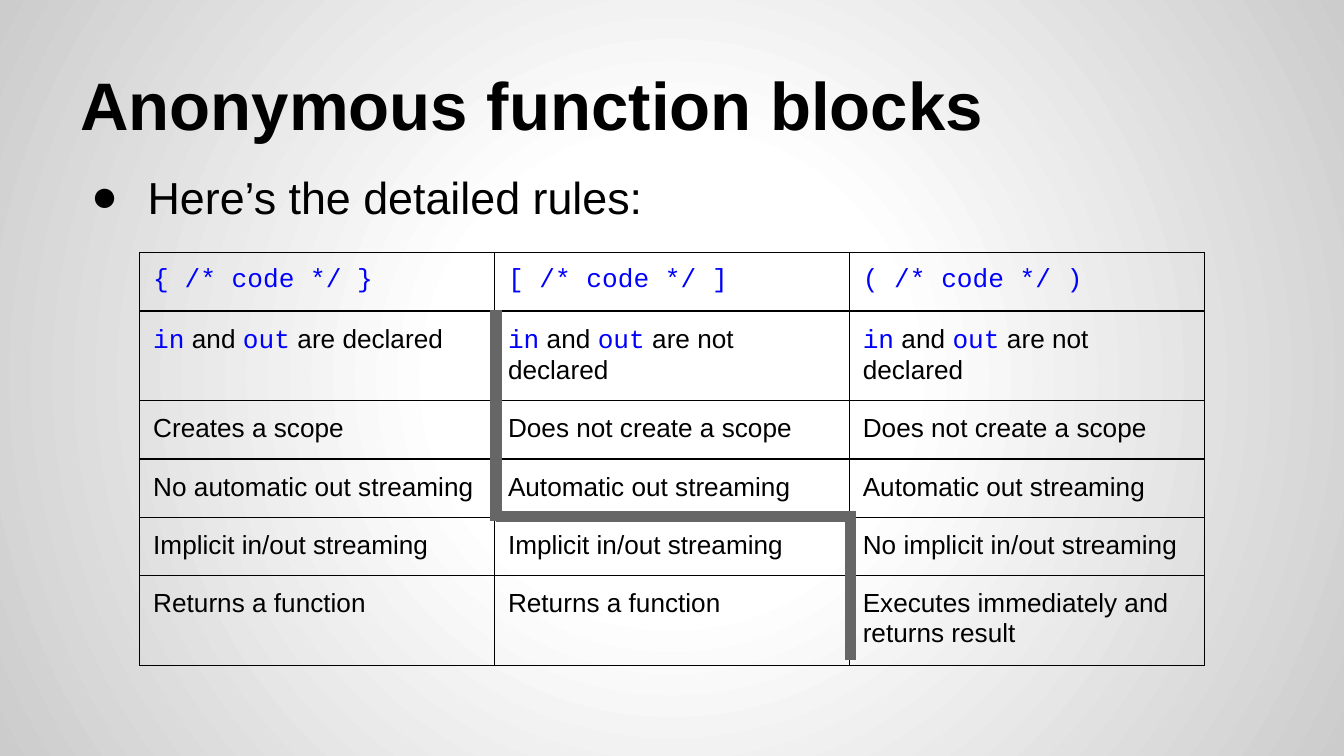
from pptx import Presentation
from pptx.dml.color import RGBColor
from pptx.enum.shapes import MSO_CONNECTOR
from pptx.enum.text import MSO_ANCHOR
from pptx.oxml import parse_xml
from pptx.oxml.ns import nsdecls
from pptx.util import Inches, Pt

LEFT, TOP, COL, ROW = 1.04, 1.88, 2.64, 0.42  # table grid, inches
TEXT = {"name": "Arial", "size": Pt(14)}
CODE = {"name": "Courier New", "size": Pt(14)}
MARGINS = ("margin_left", "margin_top", "margin_right", "margin_bottom")

# Backticks mark code.
RULES = [
    ["`{ /* code */ }`", "`[ /* code */ ]`", "`( /* code */ )`"],
    ["`in` and `out` are declared"] + ["`in` and `out` are not declared"] * 2,
    ["Creates a scope"] + ["Does not create a scope"] * 2,
    ["No automatic out streaming"] + ["Automatic out streaming"] * 2,
    ["Implicit in/out streaming"] * 2 + ["No implicit in/out streaming"],
    ["Returns a function"] * 2 + ["Executes immediately and returns result"],
]
# Divider segments as (column, row) pairs on the table grid.
DIVIDER = [
    ((1, 1.02), (1, 4.76)),
    ((1, 4.67), (2, 4.67)),
    ((2, 4.57), (2, 7.21)),
]


def rgb(color):
    return RGBColor.from_string(color)


def set_attrs(obj, values):
    for name, value in values.items():
        setattr(obj, name, value)


def add_run(p, text, font, color="000000"):
    r = p.add_run()
    r.text = text
    set_attrs(r.font, font)
    r.font.color.rgb = rgb(color)


def set_background(s):
    """Fill the slide with a gradient that spreads from its centre."""
    stops = "".join(
        f'<a:gs pos="{pos}000"><a:srgbClr val="{color}"/></a:gs>'
        for pos, color in [(0, "FFFFFF"), (30, "FFFFFF"), (100, "CCCCCC")])
    s._element.cSld.insert(0, parse_xml(
        f'<p:bg {nsdecls("p", "a")}><p:bgPr><a:gradFill>'
        f'<a:gsLst>{stops}</a:gsLst><a:path path="circle">'
        '<a:fillToRect l="50000" t="50000" r="50000" b="50000"/></a:path>'
        '</a:gradFill><a:effectLst/></p:bgPr></p:bg>'))


def add_text(s, top, height, text, font, anchor):
    sp = s.shapes.add_textbox(Inches(0.5), Inches(top), Inches(9), Inches(height))
    tf = sp.text_frame
    set_attrs(tf, {"word_wrap": True, "vertical_anchor": anchor})
    set_attrs(tf, dict.fromkeys(MARGINS, Inches(0.1)))
    p = tf.paragraphs[0]
    add_run(p, text, font)
    return p


def add_bullet(p):
    pPr = p._p.get_or_add_pPr()
    pPr.set("marL", str(Inches(0.5)))
    pPr.set("indent", str(Inches(-0.42)))
    for xml in ('buClr {}><a:srgbClr val="000000"/></a:buClr>',
                'buFont {} typeface="Arial"/>',
                'buChar {} char="●"/>'):
        pPr.append(parse_xml("<a:" + xml.format(nsdecls("a"))))


def add_borders(cell):
    tcPr = cell._tc.get_or_add_tcPr()
    for i, side in enumerate("LRTB"):
        tcPr.insert(i, parse_xml(
            f'<a:ln{side} {nsdecls("a")} w="{Pt(0.75)}"><a:solidFill>'
            f'<a:srgbClr val="000000"/></a:solidFill></a:ln{side}>'))


def fill_cell(cell, text):
    cell.fill.background()
    set_attrs(cell, dict.fromkeys(MARGINS, Inches(0.1)))
    add_borders(cell)
    p = cell.text_frame.paragraphs[0]
    for i, part in enumerate(text.split("`")):
        if part:
            add_run(p, part, *((CODE, "0000FF") if i % 2 else (TEXT,)))


def add_rules_table(s):
    frame = s.shapes.add_table(len(RULES), len(RULES[0]), Inches(LEFT),
                               Inches(TOP), Inches(3.28), Inches(3.28))
    table = frame.table
    set_attrs(table, {"first_row": False, "horz_banding": False})
    for column in table.columns:
        column.width = Inches(COL)
    for row, texts in zip(table.rows, RULES):
        row.height = Pt(30)
        for cell, text in zip(row.cells, texts):
            fill_cell(cell, text)
    # Rows grow with their text, so the frame keeps its own size.
    set_attrs(frame, {"width": Inches(3.28), "height": Inches(3.28)})


def add_divider(s, start, end):
    ends = [Inches(v) for c, r in (start, end)
            for v in (LEFT + c * COL + 0.01, TOP + r * ROW)]
    line = s.shapes.add_connector(MSO_CONNECTOR.STRAIGHT, *ends)
    line.line.color.rgb = rgb("666666")
    line.line.width = Pt(6)
    line._element.spPr.append(parse_xml(f'<a:effectLst {nsdecls("a")}/>'))


def main():
    prs = Presentation()
    width = Inches(10)
    set_attrs(prs, {"slide_width": width, "slide_height": width * 9 // 16})
    s = prs.slides.add_slide(prs.slide_layouts[6])
    set_background(s)
    add_text(s, 0.23, 0.94, "Anonymous function blocks",
             {"name": "Arial", "size": Pt(36), "bold": True}, MSO_ANCHOR.BOTTOM)
    add_bullet(add_text(s, 1.16, 4.07, "Here’s the detailed rules:",
                        {"name": "Arial", "size": Pt(24)}, MSO_ANCHOR.TOP))
    add_rules_table(s)
    for start, end in DIVIDER:
        add_divider(s, start, end)
    prs.save("out.pptx")


if __name__ == "__main__":
    main()
